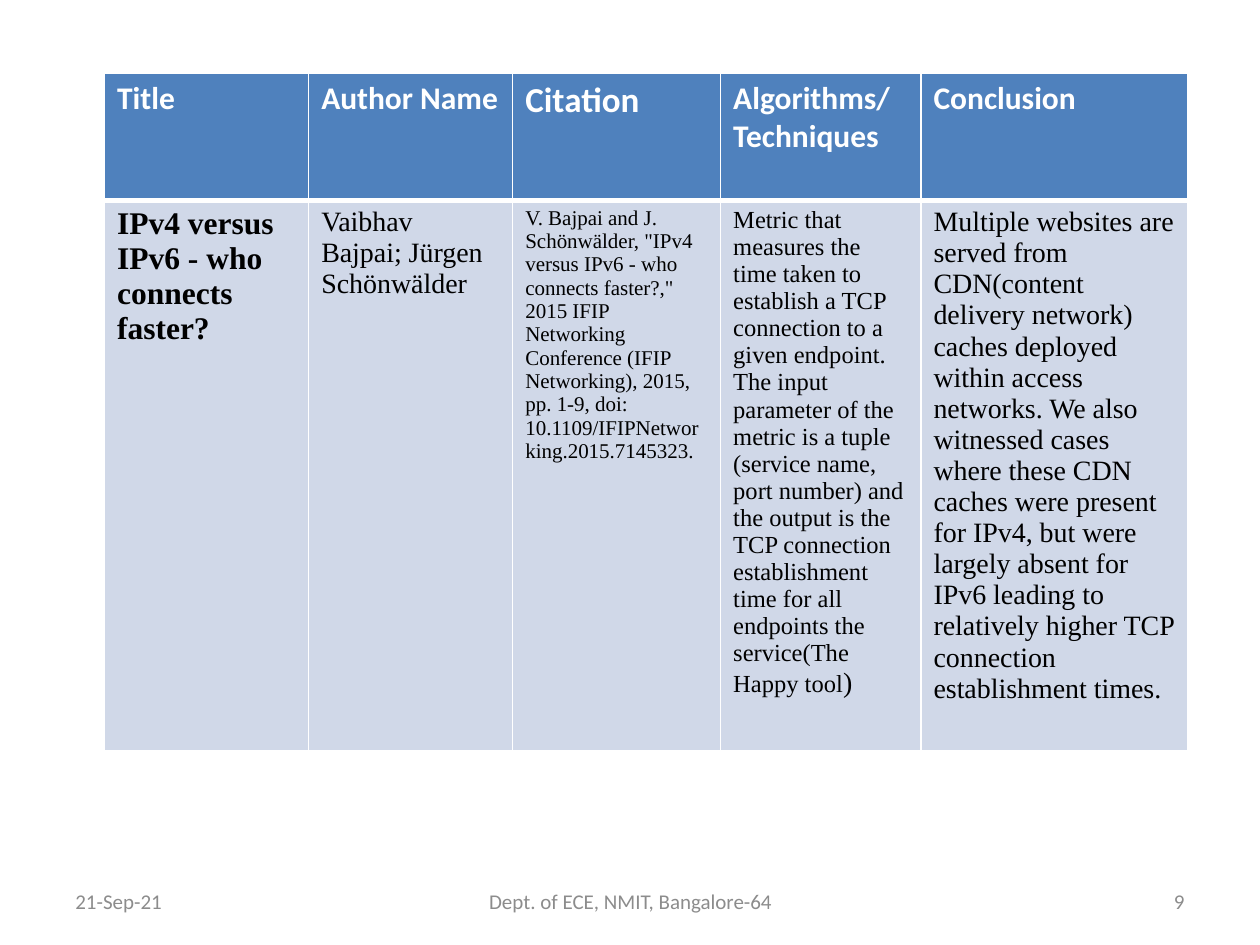
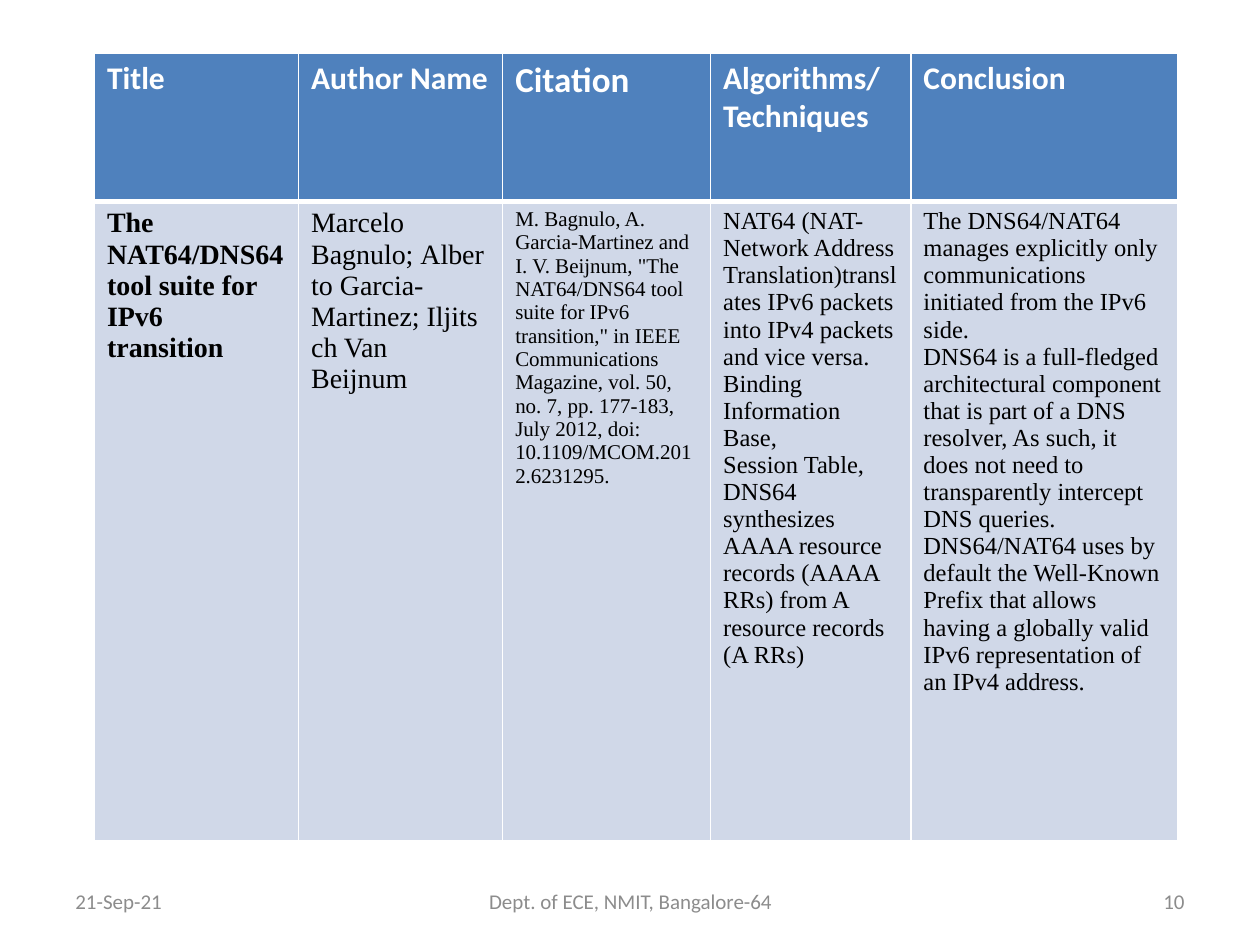
from lxml import etree
from pptx import Presentation
from pptx.dml.color import RGBColor
from pptx.enum.text import MSO_ANCHOR, PP_ALIGN
from pptx.oxml.ns import qn
from pptx.util import Inches, Pt

LEFT, CENTER, RIGHT = PP_ALIGN.LEFT, PP_ALIGN.CENTER, PP_ALIGN.RIGHT
MIDDLE = MSO_ANCHOR.MIDDLE

# Shared content and layout
DATE = "21-Sep-21"
DEPARTMENT = "Dept. of ECE, NMIT, Bangalore-64"
HEADINGS = ["Title", "Author Name", "Citation", "Algorithms/Techniques ", "Conclusion"]
HEADING_SIZES = [18, 18, 20, 18, 18]
COLUMN_WIDTHS = [1.62, 1.62, 1.65, 1.59, 2.12]


def color(hex_code):
    return RGBColor.from_string(hex_code)


class SurveyDeck:
    HEAD_FONT, BODY_FONT = "Calibri", "Times New Roman"
    WHITE, BLACK, GRAY = "FFFFFF", "000000", "8C8C8C"
    HEAD_FILL, BODY_FILL = "4F81BD", "D0D8E8"
    THIN, THICK = 1, 3

    def __init__(self):
        self.deck = Presentation()
        self.deck.slide_width, self.deck.slide_height = Inches(10), Inches(7.5)
        self.slide = None

    def new_slide(self, number):
        self.slide = self.deck.slides.add_slide(self.deck.slide_layouts[6])
        self.footer(0.5, 2.33, DATE, LEFT)
        self.footer(3.42, 3.17, DEPARTMENT, CENTER)
        self.footer(7.17, 2.33, str(number), RIGHT)

    def run(self, paragraph, text, size, font, hex_code, bold=False):
        run = paragraph.add_run()
        run.text = text
        run.font.size, run.font.name, run.font.bold = Pt(size), font, bold
        run.font.color.rgb = color(hex_code)

    def footer(self, left, width, text, align):
        box = self.slide.shapes.add_textbox(
            Inches(left), Inches(6.95), Inches(width), Inches(0.4))
        frame = box.text_frame
        frame.word_wrap = True
        frame.vertical_anchor = MIDDLE
        frame.paragraphs[0].alignment = align
        self.run(frame.paragraphs[0], text, 12, self.HEAD_FONT, self.GRAY)

    def borders(self, cell, top, bottom):
        properties = cell._tc.get_or_add_tcPr()
        sides = [("a:lnL", self.THIN), ("a:lnR", self.THIN),
                 ("a:lnT", top), ("a:lnB", bottom)]
        # Border lines come before the fill in the cell properties
        for place, (tag, width) in enumerate(sides):
            line = etree.Element(qn(tag), w=str(int(Pt(width))))
            fill = etree.SubElement(line, qn("a:solidFill"))
            etree.SubElement(fill, qn("a:srgbClr"), val=self.WHITE)
            properties.insert(place, line)

    def cell(self, cell, paragraphs, fill, font, hex_code, bold, top, bottom):
        cell.fill.solid()
        cell.fill.fore_color.rgb = color(fill)
        self.borders(cell, top, bottom)
        frame = cell.text_frame
        for index, runs in enumerate(paragraphs):
            paragraph = frame.add_paragraph() if index else frame.paragraphs[0]
            for text, size in runs:
                self.run(paragraph, text, size, font, hex_code, bold)

    def paper_table(self, left, top, row_heights, paper):
        table = self.slide.shapes.add_table(
            2, len(HEADINGS), Inches(left), Inches(top),
            Inches(sum(COLUMN_WIDTHS)), Inches(sum(row_heights))).table
        table.horz_banding = False
        for row, height in zip(table.rows, row_heights):
            row.height = Inches(height)
        for column, width in enumerate(COLUMN_WIDTHS):
            table.columns[column].width = Inches(width)
            heading = [[(HEADINGS[column], HEADING_SIZES[column])]]
            self.cell(table.cell(0, column), heading, self.HEAD_FILL, self.HEAD_FONT,
                      self.WHITE, True, self.THIN, self.THICK)
            self.cell(table.cell(1, column), paper[column], self.BODY_FILL,
                      self.BODY_FONT, self.BLACK, column == 0, self.THICK, self.THIN)


# Each paper: one entry per column, made of paragraphs of (text, size) runs
connection_paper = [
    [[("IPv4 versus IPv6 - who connects faster?", 18)]],
    [[("Vaibhav Bajpai;\u00a0Jürgen Schönwälder", 16)]],
    [[("V. Bajpai and J. Schönwälder, \"IPv4 versus IPv6 - who connects faster?,\" "
       "2015 IFIP Networking Conference (IFIP Networking), 2015, pp. 1-9, doi: "
       "10.1109/IFIPNetworking.2015.7145323.", 12)]],
    [[("Metric that measures the time taken to establish a TCP connection to a given "
       "endpoint. The input parameter of the metric is a tuple (service name, port "
       "number) and the output is the TCP connection establishment time for all "
       "endpoints the service(The Happy tool", 14), (")", 16)]],
    [[("Multiple websites are served from CDN(content delivery network) caches deployed "
       "within access networks. We also witnessed cases where these CDN caches were "
       "present for IPv4, but were largely absent for IPv6 leading to relatively higher "
       "TCP connection establishment times.", 16)]],
]
translation_paper = [
    [[("The NAT64/DNS64 tool suite for IPv6 transition", 16)]],
    [[("Marcelo Bagnulo;\u00a0Alberto Garcia-Martinez;\u00a0Iljitsch Van Beijnum", 16)]],
    [[("M. Bagnulo, A. Garcia-Martinez and I. V. Beijnum, \"The NAT64/DNS64 tool suite "
       "for IPv6 transition,\" in IEEE Communications Magazine, vol. 50, no. 7, "
       "pp. 177-183, July 2012, doi: 10.1109/MCOM.2012.6231295.", 12)]],
    [[("NAT64 (NAT-Network Address Translation)translates IPv6 packets into IPv4 "
       "packets and vice versa.", 14)],
     [("Binding Information Base,", 14)],
     [("Session Table,", 14)],
     [("DNS64 synthesizes AAAA resource records (AAAA RRs) from A resource records "
       "(A RRs)", 14)]],
    [[("The DNS64/NAT64 manages explicitly only communications initiated from the IPv6 "
       "side.\u00a0", 14)],
     [("DNS64 is a full-fledged architectural component that is part of a DNS resolver, "
       "As such, it does not need to transparently intercept DNS queries. DNS64/NAT64 "
       "uses by default the Well-Known Prefix that allows having a globally valid IPv6 "
       "representation of an IPv4 address.", 14)]],
]

survey = SurveyDeck()

# Slide 9: connection speed
survey.new_slide(9)
survey.paper_table(0.83, 0.58, [1.01, 4.05], connection_paper)

# Slide 10: address translation
survey.new_slide(10)
survey.paper_table(0.75, 0.42, [1.18, 5.07], translation_paper)

survey.deck.save("out.pptx")
